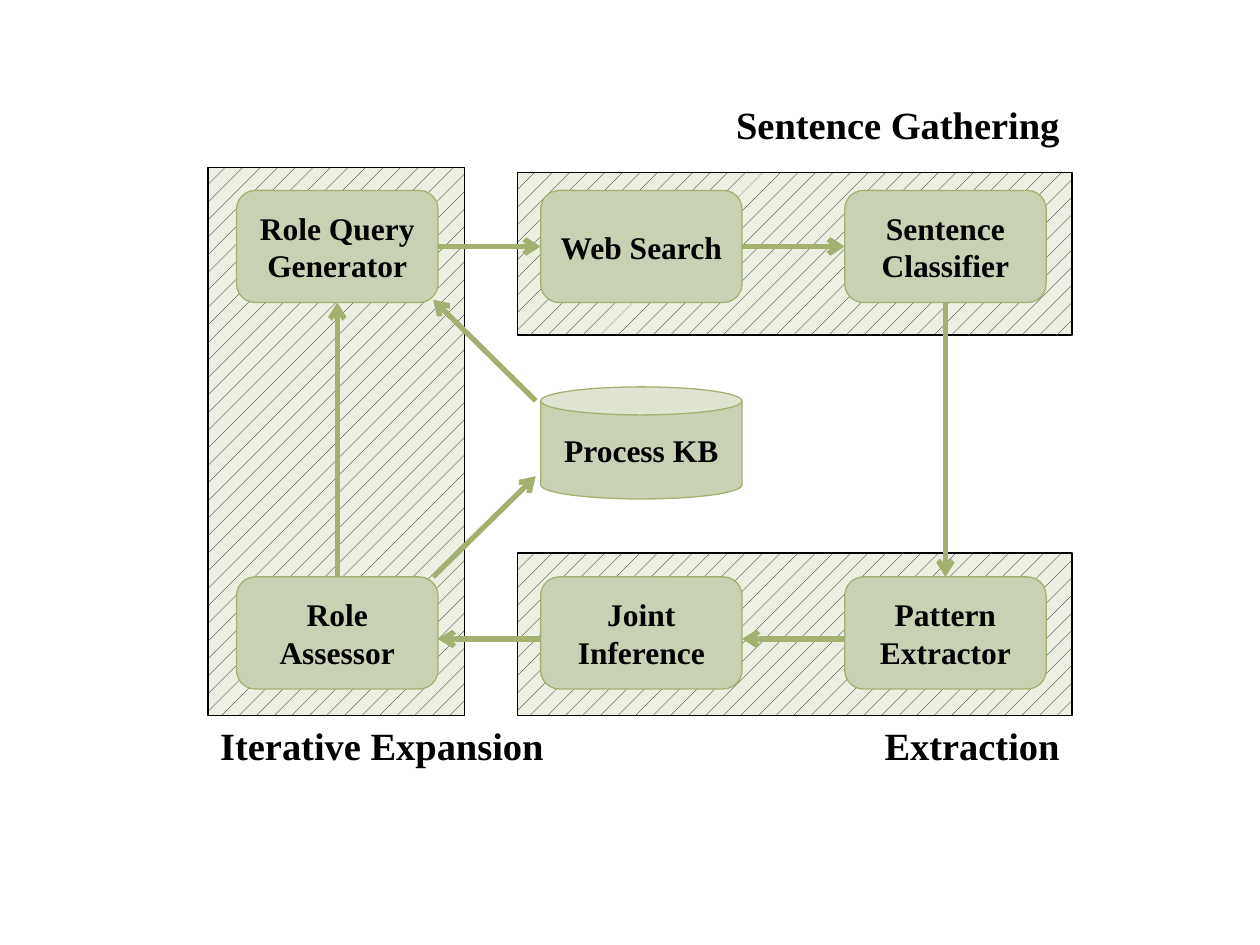
from dataclasses import dataclass

from lxml.etree import SubElement
from pptx import Presentation
from pptx.dml.color import RGBColor
from pptx.enum.dml import MSO_PATTERN
from pptx.enum.shapes import MSO_CONNECTOR, MSO_SHAPE
from pptx.enum.text import MSO_ANCHOR, MSO_AUTO_SIZE, PP_ALIGN
from pptx.oxml.ns import qn
from pptx.util import Cm, Pt

BLACK, PALE, SAGE, OLIVE = "000000", "ECEFE2", "C9D1B4", "A2B170"
TOP, LEFT, BOTTOM, RIGHT = range(4)

# Box grid in cm
BOX_W, BOX_H = 4.06, 2.26
COLS = [4.77 + 6.13 * i for i in range(3)]
ROWS = [3.84, 7.8, 11.63]
LOWER_ARROW_Y = 12.88


@dataclass
class Area:
    left: float
    top: float
    width: float
    height: float

    def lengths(self) -> list:
        return [Cm(v) for v in (self.left, self.top, self.width, self.height)]


@dataclass
class Node:
    text: str
    col: int
    row: int
    kind: MSO_SHAPE = MSO_SHAPE.ROUNDED_RECTANGLE


@dataclass
class Label:
    text: str
    area: Area
    align: PP_ALIGN = PP_ALIGN.RIGHT


PANELS = [
    Area(4.19, 3.38, 5.18, 11.05),
    Area(10.43, 11.15, 11.18, 3.28),
    Area(10.43, 3.48, 11.18, 3.28),
]
NODES = {
    "query": Node("Role Query Generator", 0, 0),
    "search": Node("Web Search", 1, 0),
    "classifier": Node("Sentence Classifier", 2, 0),
    "pattern": Node("Pattern Extractor", 2, 2),
    "inference": Node("Joint\nInference", 1, 2),
    "assessor": Node("Role\nAssessor", 0, 2),
    "kb": Node("Process KB", 1, 1, MSO_SHAPE.CAN),
}
JOINED_ARROWS = [
    ("query", RIGHT, "search", LEFT),
    ("search", RIGHT, "classifier", LEFT),
    ("assessor", TOP, "query", BOTTOM),
    ("classifier", BOTTOM, "pattern", TOP),
]
FREE_ARROWS = [
    (10.8, 8.08, 8.73, 6.04),
    (8.73, 11.63, 10.8, 9.6),
    *[(COLS[i + 1], LOWER_ARROW_Y, COLS[i] + BOX_W, LOWER_ARROW_Y) for i in (0, 1)],
]
LABELS = [
    Label("Sentence Gathering", Area(10.43, 1.91, 11.18, 1.19)),
    Label("Extraction", Area(10.43, 14.43, 11.18, 1.19)),
    Label("Iterative Expansion", Area(4.19, 14.43, 11.43, 1.19), PP_ALIGN.LEFT),
]


def rgb(color: str) -> RGBColor:
    return RGBColor.from_string(color)


def set_line(sp, color: str, width: float) -> None:
    sp.line.color.rgb = rgb(color)
    sp.line.width = Pt(width)


def write(tf, text: str, size: float, align: PP_ALIGN) -> None:
    tf.word_wrap = True
    font_format = {"name": "Times New Roman", "size": Pt(size), "bold": True}
    for i, line in enumerate(text.split("\n")):
        p = tf.add_paragraph() if i else tf.paragraphs[0]
        p.alignment = align
        r = p.add_run()
        r.text = line
        for name, value in font_format.items():
            setattr(r.font, name, value)
        r.font.color.rgb = rgb(BLACK)


def add_panel(s, area: Area) -> None:
    sp = s.shapes.add_shape(MSO_SHAPE.RECTANGLE, *area.lengths())
    sp.shadow.inherit = False
    sp.fill.patterned()
    sp.fill.pattern = MSO_PATTERN.PERCENT_5
    sp.fill.fore_color.rgb = rgb(BLACK)
    sp.fill.back_color.rgb = rgb(PALE)
    set_line(sp, BLACK, 0.85)


def add_node(s, node: Node):
    area = Area(COLS[node.col], ROWS[node.row], BOX_W, BOX_H)
    sp = s.shapes.add_shape(node.kind, *area.lengths())
    sp.shadow.inherit = False
    sp.fill.solid()
    sp.fill.fore_color.rgb = rgb(SAGE)
    set_line(sp, OLIVE, 0.75)
    sp.text_frame.vertical_anchor = MSO_ANCHOR.MIDDLE
    write(sp.text_frame, node.text, 18, PP_ALIGN.CENTER)
    return sp


def add_arrow(s, x1: float = 0, y1: float = 0, x2: float = 0, y2: float = 0):
    ends = [Cm(v) for v in (x1, y1, x2, y2)]
    cxn = s.shapes.add_connector(MSO_CONNECTOR.STRAIGHT, *ends)
    set_line(cxn, OLIVE, 3)
    SubElement(cxn.line._get_or_add_ln(), qn("a:tailEnd"), type="arrow")
    SubElement(cxn._element.spPr, qn("a:effectLst"))
    return cxn


def add_label(s, label: Label) -> None:
    tf = s.shapes.add_textbox(*label.area.lengths()).text_frame
    tf.auto_size = MSO_AUTO_SIZE.SHAPE_TO_FIT_TEXT
    write(tf, label.text, 22, label.align)


def main() -> None:
    prs = Presentation()
    prs.slide_width, prs.slide_height = Cm(25.4), Cm(19.05)
    s = prs.slides.add_slide(prs.slide_layouts[6])

    # Hatched panels behind each stage
    for area in PANELS:
        add_panel(s, area)

    # Process steps and knowledge base
    boxes = {name: add_node(s, node) for name, node in NODES.items()}

    # Arrows between steps
    for start, start_side, end, end_side in JOINED_ARROWS:
        cxn = add_arrow(s)
        cxn.begin_connect(boxes[start], start_side)
        cxn.end_connect(boxes[end], end_side)
    for ends in FREE_ARROWS:
        add_arrow(s, *ends)

    # Stage names
    for label in LABELS:
        add_label(s, label)

    prs.save("out.pptx")


if __name__ == "__main__":
    main()
